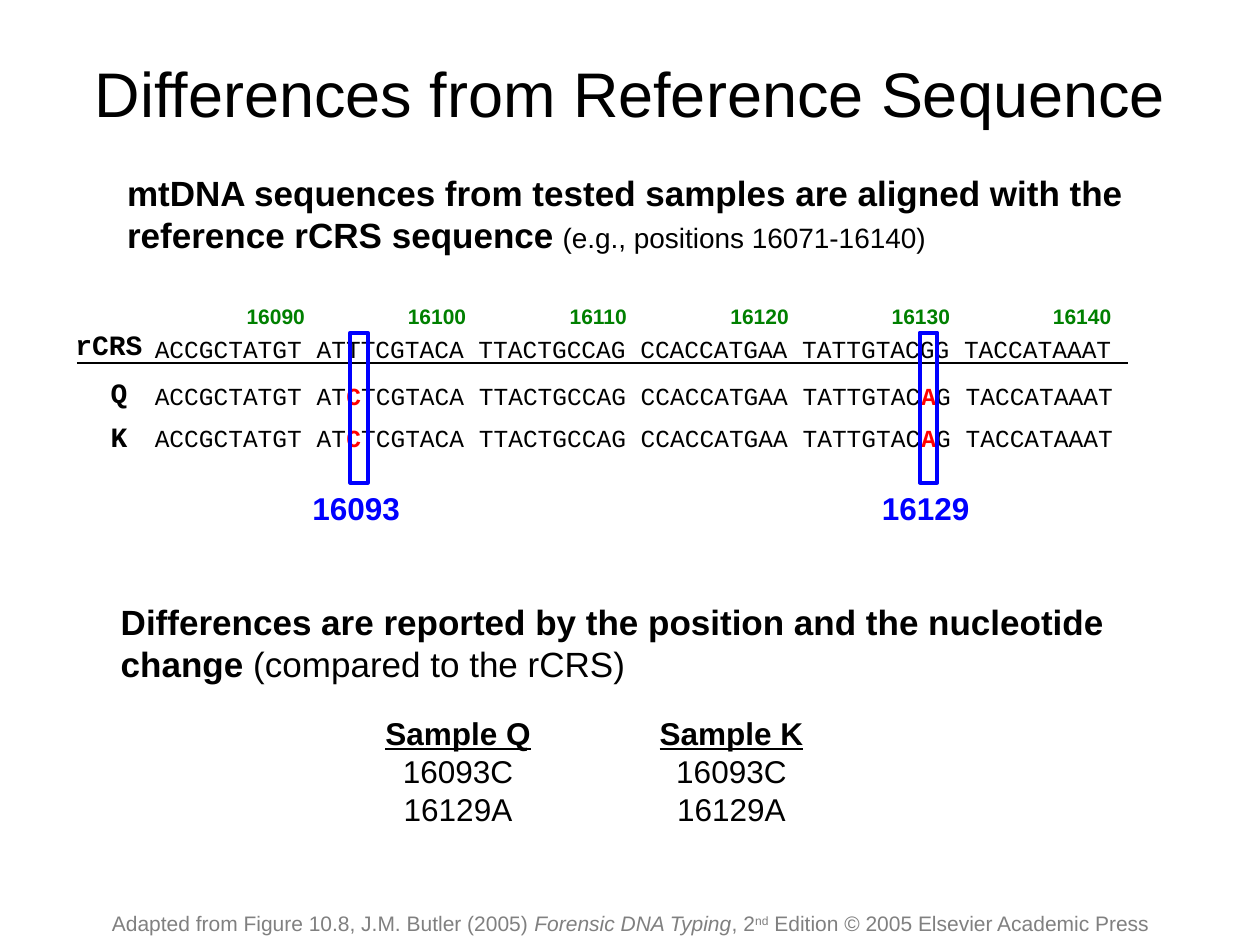
from collections import namedtuple
from dataclasses import dataclass

from lxml import etree
from pptx import Presentation
from pptx import util as u
from pptx.dml.color import RGBColor
from pptx.enum import shapes, text
from pptx.oxml import ns

Box = namedtuple("Box", "left top width height")


@dataclass(frozen=True)
class Theme:
    sans: str = "Arial"
    mono: str = "Courier New"
    black: str = "000000"
    green: str = "008000"
    red: str = "FF0000"
    blue: str = "0000FF"
    gray: str = "808080"
    title: int = 36
    statement: int = 20
    label: int = 18
    row_name: int = 16
    sequence: int = 14
    small: int = 12


THEME = Theme()
BLOCK_PITCH = 1.28  # ten bases and a space


def inside(box, left, top, width, height):
    """Box given relative to the top left corner of another box."""
    return Box(box.left + left, box.top + top, width, height)


def place(shape, box):
    shape.left, shape.top, shape.width, shape.height = map(u.Inches, box)


def write(frame, paragraphs, size, font=THEME.sans, color=THEME.black,
          align=text.PP_ALIGN.LEFT, center_tabs=(), **style):
    """Fill a frame; a paragraph is a list of (text, format changes) runs."""
    for index, runs in enumerate(paragraphs):
        paragraph = frame.paragraphs[0] if index == 0 else frame.add_paragraph()
        paragraph.alignment = align
        if center_tabs:
            properties = paragraph._p.get_or_add_pPr()
            tab_list = etree.SubElement(properties, ns.qn("a:tabLst"))
            for position in center_tabs:
                etree.SubElement(tab_list, ns.qn("a:tab"),
                                 pos=str(u.Inches(position)), algn="ctr")
        for words, changes in runs:
            look = {"size": size, "font": font, "color": color, **style, **changes}
            run = paragraph.add_run()
            run.text = words
            run.font.name = look["font"]
            run.font.size = u.Pt(look["size"])
            run.font.color.rgb = RGBColor.from_string(look["color"])
            run.font.bold = look.get("bold", False)
            run.font.italic = look.get("italic", False)
            run.font.underline = look.get("underline", False)
            if look.get("superscript"):
                run._r.get_or_add_rPr().set("baseline", "30000")


def add_text(slide, box, paragraphs, size, wrap=True, middle=False, **style):
    shape = slide.shapes.add_textbox(*map(u.Inches, box))
    frame = shape.text_frame
    frame.word_wrap = wrap
    frame.auto_size = text.MSO_AUTO_SIZE.SHAPE_TO_FIT_TEXT
    frame.vertical_anchor = text.MSO_ANCHOR.MIDDLE if middle else text.MSO_ANCHOR.TOP
    write(frame, paragraphs, size, **style)


def add_title(slide, box):
    title = slide.shapes.title
    place(title, box)
    title.text_frame.vertical_anchor = text.MSO_ANCHOR.MIDDLE
    write(title.text_frame, [[("Differences from Reference Sequence", {})]],
          THEME.title, align=text.PP_ALIGN.CENTER)


def add_statement(slide, box, claim, *details):
    add_text(slide, box, [[(claim, {"bold": True}), *details]], THEME.statement)


def add_alignment(slide, box):
    """Position scale, reference row and the two sample rows."""
    scale = "".join(f"\t{position}" for position in range(16090, 16141, 10))
    tabs = [1.15 + BLOCK_PITCH * block for block in range(6)]
    add_text(slide, inside(box, 0.44, 0, 8.57, 0.3), [[(scale, {})]], THEME.small,
             middle=True, color=THEME.green, bold=True, center_tabs=tabs)

    changed = {"color": THEME.red, "bold": True}
    reference = [("ACCGCTATGT ATTTCGTACA TTACTGCCAG CCACCATGAA TATTGTACGG TACCATAAAT", {})]
    sample = [("ACCGCTATGT AT", {}), ("C", changed),
              ("TCGTACA TTACTGCCAG CCACCATGAA TATTGTAC", {}), ("A", changed),
              ("G TACCATAAAT", {})]
    rows = [("rCRS", 0, 0.19, 0.73, 0.24, reference),
            ("Q", 0.28, 0.57, 0.33, 0.61, sample),
            ("K", 0.28, 0.92, 0.33, 0.94, sample)]
    for name, left, name_top, width, top, bases in rows:
        add_text(slide, inside(box, left, name_top, width, 0.37), [[(name, {})]],
                 THEME.row_name, wrap=False, font=THEME.mono, bold=True)
        add_text(slide, inside(box, 0.63, top, 7.92, 0.34), [bases],
                 THEME.sequence, wrap=False, middle=True, font=THEME.mono)

    rule_left, rule_top, rule_width, _ = inside(box, 0.11, 0.52, 8.34, 0)
    rule = slide.shapes.add_connector(
        shapes.MSO_CONNECTOR.STRAIGHT, u.Inches(rule_left), u.Inches(rule_top),
        u.Inches(rule_left + rule_width), u.Inches(rule_top))
    rule.line.color.rgb = RGBColor.from_string(THEME.black)
    rule.line.width = u.Pt(0.75)
    etree.SubElement(rule._element.spPr, ns.qn("a:effectLst"))


def add_difference_marker(slide, box, position):
    """Frame around one column of bases, with its position below."""
    frame = slide.shapes.add_shape(shapes.MSO_SHAPE.RECTANGLE,
                                   *map(u.Inches, inside(box, 0.4, 0, 0.14, 1.19)))
    frame.shadow.inherit = False
    frame.fill.background()
    frame.line.color.rgb = RGBColor.from_string(THEME.blue)
    frame.line.width = u.Pt(2.25)
    add_text(slide, inside(box, 0, 1.19, box.width, 0.4), [[(position, {})]],
             THEME.label, wrap=False, color=THEME.blue, bold=True)


def add_sample_report(slide, box, sample):
    heading = (f"Sample {sample}", {"bold": True, "underline": True})
    add_text(slide, box, [[heading], [("16093C", {})], [("16129A", {})]],
             THEME.label, align=text.PP_ALIGN.CENTER)


def add_source(slide, box):
    runs = [("Adapted from Figure 10.8, J.M. Butler (2005) ", {}),
            ("Forensic DNA Typing", {"italic": True}),
            (", 2", {}), ("nd", {"superscript": True}),
            (" Edition © 2005 Elsevier Academic Press", {})]
    add_text(slide, box, [runs], THEME.small, wrap=False, color=THEME.gray)


def main():
    presentation = Presentation()
    presentation.slide_width = u.Inches(10)
    presentation.slide_height = u.Inches(7.5)
    slide = presentation.slides.add_slide(presentation.slide_layouts[5])

    add_title(slide, Box(0.5, 0.3, 9, 0.87))
    add_statement(slide, Box(0.91, 1.31, 8.29, 0.77),
                  "mtDNA sequences from tested samples are aligned with the "
                  "reference rCRS sequence",
                  (" ", {"size": THEME.label}),
                  ("(e.g., positions 16071-16140)", {"size": THEME.row_name}))
    add_alignment(slide, Box(0.5, 2.36, 9.01, 1.28))
    add_difference_marker(slide, Box(2.38, 2.64, 0.95, 1.59), "16093")
    add_difference_marker(slide, Box(6.9, 2.64, 0.95, 1.59), "16129")
    add_statement(slide, Box(0.86, 4.72, 8.08, 0.77),
                  "Differences are reported by the position and the nucleotide change",
                  (" (compared to the rCRS)", {}))
    for column, sample in enumerate("QK"):
        add_sample_report(slide, Box(2.75 + 2.17 * column, 5.62, 1.77, 1), sample)
    add_source(slide, Box(0.79, 7.18, 8.46, 0.3))

    presentation.save("out.pptx")


if __name__ == "__main__":
    main()
